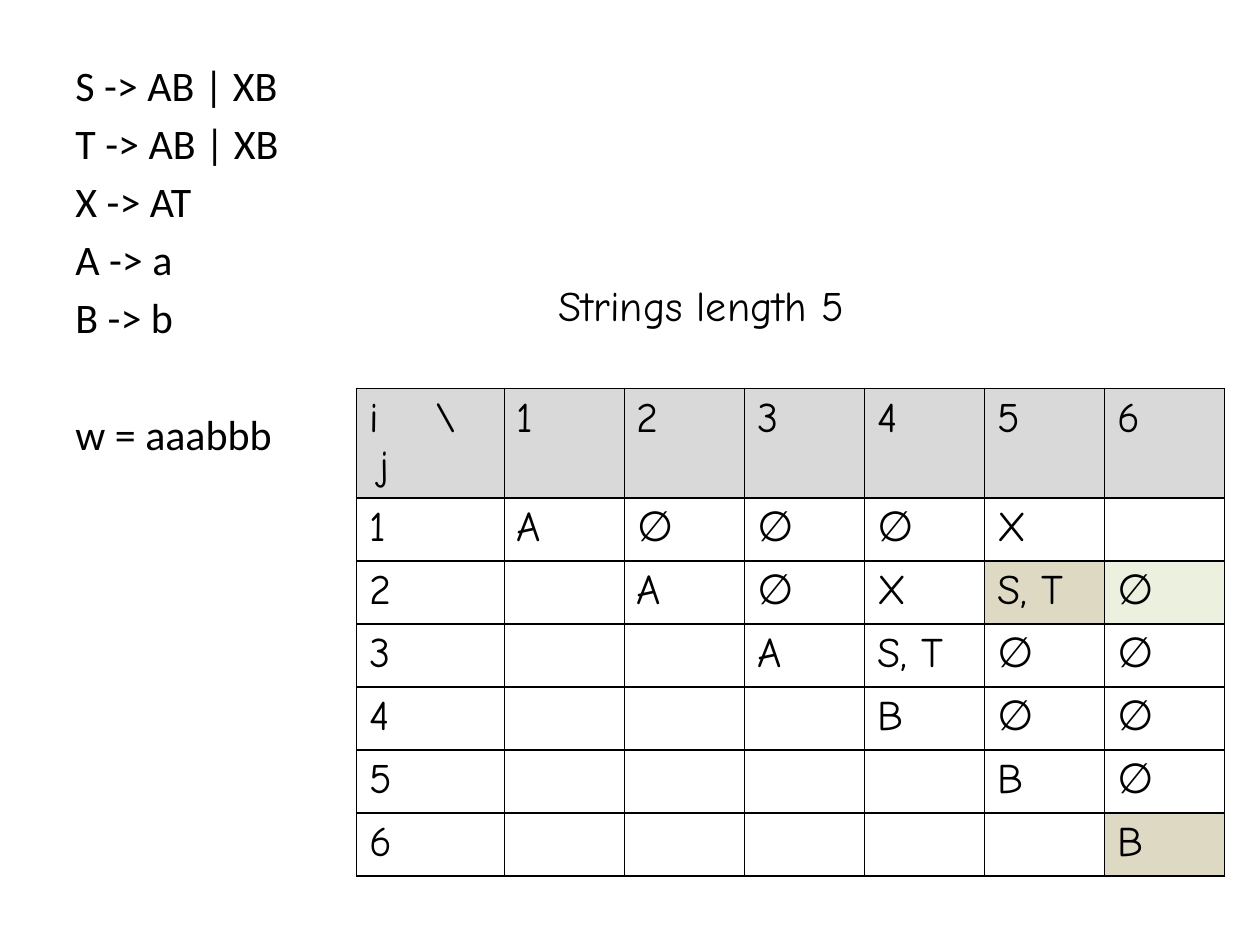
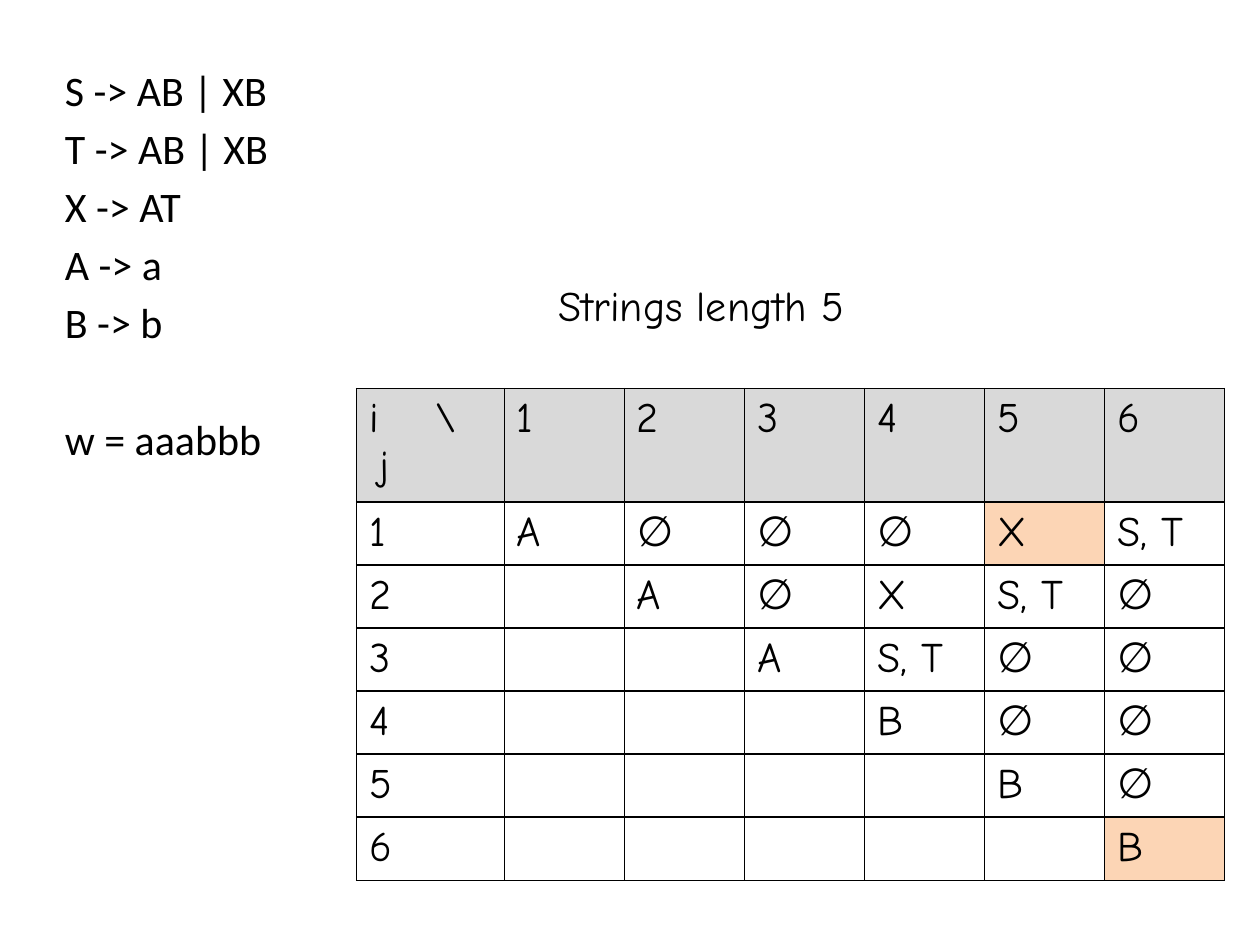
from dataclasses import dataclass

from pptx import Presentation
from pptx import util as u
from pptx.dml import color as clr
from pptx.enum import text as txt
from pptx.oxml import parse_xml
from pptx.oxml import ns

# Content
TITLE = "Strings length 5"
RULES = ["S -> AB | XB", "T -> AB | XB", "X -> AT", "A -> a", "B -> b"]
WORD = "w = aaabbb"
CORNER = "i\t\\\nj"
# Upper triangle, each row starting on the diagonal
CHART = [
    ["A", "∅", "∅", "∅", "X", ""],
    ["A", "∅", "X", "S, T", "∅"],
    ["A", "S, T", "∅", "∅"],
    ["B", "∅", "∅"],
    ["B", "∅"],
    ["B"],
]
# Per slide: place of the rules, newly found cells, marked cells by (i, j)
STEPS = [
    {"rules": (36, 30.5), "found": {},
     "marks": {(2, 5): "tan", (6, 6): "tan", (2, 6): "green"}},
    {"rules": (30, 33.5), "found": {(1, 6): "S, T"},
     "marks": {(1, 5): "peach", (6, 6): "peach"}},
]


@dataclass(frozen=True)
class Theme:
    ink: str = "000000"
    head: str = "D9D9D9"
    tan: str = "DDD9C3"
    green: str = "EBF1DE"
    peach: str = "FCD5B5"
    body: str = "Calibri"
    hand: str = "Comic Neue"
    size: float = 24
    gap: float = 4.3
    line: float = 1


LOOK = Theme()
LEFT, TOP = 203.8, 222
FIRST, COL, ROW = 84.4, 68.6, 36


def style(frame, font):
    """Format every paragraph of a text frame."""
    for para in frame.paragraphs:
        para.space_before = u.Pt(LOOK.gap)
        para.alignment = txt.PP_ALIGN.LEFT
        for run in para.runs:
            run.font.name = font
            run.font.size = u.Pt(LOOK.size)
            run.font.color.rgb = clr.RGBColor.from_string(LOOK.ink)


def add_text(slide, lines, place, font, wrap):
    box = slide.shapes.add_textbox(*map(u.Pt, place))
    frame = box.text_frame
    frame.text = "\n".join(lines)
    frame.word_wrap = wrap
    frame.auto_size = txt.MSO_AUTO_SIZE.SHAPE_TO_FIT_TEXT
    style(frame, font)
    return frame


def frame_cell(cell):
    """Draw all four borders of a cell."""
    props = cell._tc.get_or_add_tcPr()
    for side in "LRTB":
        props.append(parse_xml(
            f'<a:ln{side} {ns.nsdecls("a")} w="{u.Pt(LOOK.line)}">'
            f'<a:solidFill><a:srgbClr val="{LOOK.ink}"/></a:solidFill>'
            f'</a:ln{side}>'))


def set_corner(cell):
    """Spread the index names with a tab stop and an indent."""
    top, low = cell.text_frame.paragraphs
    top._p.get_or_add_pPr().append(parse_xml(
        f'<a:tabLst {ns.nsdecls("a")}>'
        f'<a:tab pos="{u.Pt(37)}" algn="l"/></a:tabLst>'))
    low.space_before = u.Pt(0)
    low._p.get_or_add_pPr().set("marL", str(u.Pt(6)))


def label(i, j, found):
    """Text of the cell in row i and column j; index 0 is a heading."""
    if i == 0 or j == 0:
        return str(i or j or CORNER)
    return found.get((i, j), CHART[i - 1][j - i] if j >= i else "")


def add_chart(slide, found, marks):
    count = len(CHART) + 1
    wide = FIRST + COL * (count - 1)
    table = slide.shapes.add_table(
        count, count, *map(u.Pt, (LEFT, TOP, wide, ROW * count))).table
    table.first_row = table.horz_banding = False
    for j, col in enumerate(table.columns):
        col.width = u.Pt(COL if j else FIRST)
    for i, row in enumerate(table.rows):
        row.height = u.Pt(ROW)
        for j, cell in enumerate(row.cells):
            cell.text_frame.text = label(i, j, found)
            style(cell.text_frame, LOOK.hand)
            frame_cell(cell)
            tone = marks.get((i, j)) if i else "head"
            if tone:
                cell.fill.solid()
                cell.fill.fore_color.rgb = clr.RGBColor.from_string(
                    getattr(LOOK, tone))
            else:
                cell.fill.background()
    set_corner(table.cell(0, 0))


def main():
    deck = Presentation()
    deck.slide_width, deck.slide_height = u.Pt(720), u.Pt(540)
    for step in STEPS:
        slide = deck.slides.add_slide(deck.slide_layouts[6])
        add_chart(slide, step["found"], step["marks"])
        add_text(slide, [TITLE], (312, 156, 198.7, 36), LOOK.hand, False)
        # Grammar, with the word set apart by one line
        frame = add_text(slide, RULES + [WORD],
                         (*step["rules"], 332, 245.5), LOOK.body, True)
        frame.paragraphs[-1].space_before = u.Pt(37.9)
    deck.save("out.pptx")


if __name__ == "__main__":
    main()
